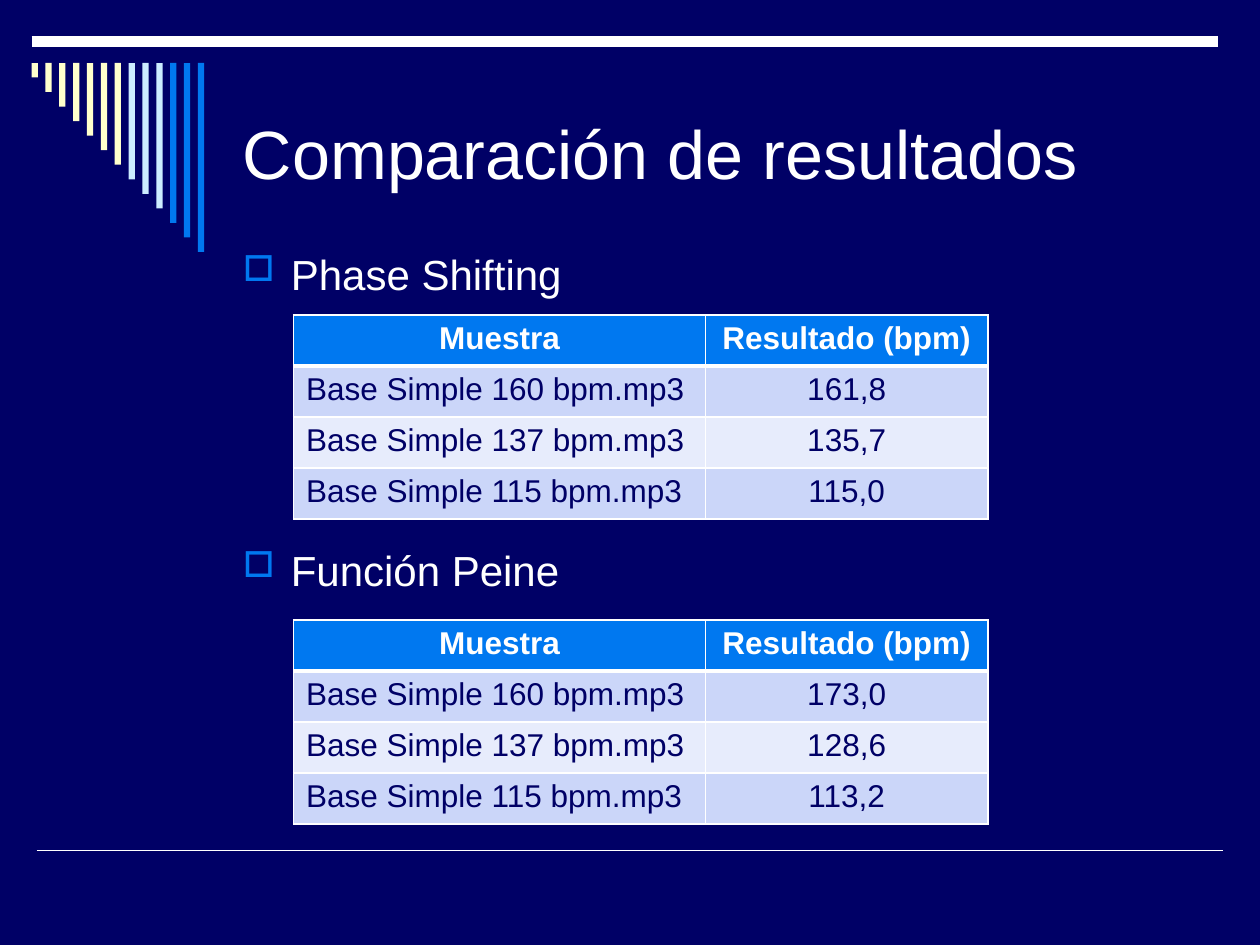
from dataclasses import dataclass

from lxml.etree import SubElement
from pptx import Presentation
from pptx.dml.color import RGBColor
from pptx.enum.shapes import MSO_CONNECTOR as Link, MSO_SHAPE as Shape
from pptx.enum.text import MSO_ANCHOR as Anchor, PP_ALIGN as Align
from pptx.oxml.ns import qn
from pptx.util import Inches, Pt

NAVY = RGBColor(0x00, 0x00, 0x66)
WHITE = RGBColor(0xFF, 0xFF, 0xFF)
BLUE = RGBColor(0x00, 0x78, 0xF0)
CREAM = RGBColor(0xFF, 0xFF, 0xCC)
SKY = RGBColor(0xCC, 0xEC, 0xFF)
BAND = RGBColor(0xCB, 0xD6, 0xF9)
PALE = RGBColor(0xE7, 0xEC, 0xFC)

FONT = "Arial"
HEADS = ("Muestra", "Resultado (bpm)")
TEMPOS = (160, 137, 115)
WIDTHS = (3.27, 2.24)
ROW = 0.405


@dataclass
class Rule:
    left: float
    right: float
    y: float
    weight: float


@dataclass
class Method:
    name: str
    top: float
    gap: float
    values: tuple[str, ...]


RULES = (Rule(0.29, 9.71, 6.75, 1), Rule(0.25, 9.67, 0.33, 6))
BARS = [CREAM] * 7 + [SKY] * 3 + [BLUE] * 3
METHODS = (
    Method("Phase Shifting", 2.5, 4.8, ("161,8", "135,7", "115,0")),
    Method("Función Peine", 4.92, 140.4, ("173,0", "128,6", "113,2")),
)


def style(para, size: float, color: RGBColor, bold: bool = False) -> None:
    for run in para.runs:
        font = run.font
        font.name, font.size, font.bold = FONT, Pt(size), bold
        font.color.rgb = color


def draw_rule(slide, rule: Rule) -> None:
    line = slide.shapes.add_connector(
        Link.STRAIGHT, Inches(rule.left), Inches(rule.y),
        Inches(rule.right), Inches(rule.y))
    line.line.color.rgb = WHITE
    line.line.width = Pt(rule.weight)
    SubElement(line._element.spPr, qn("a:effectLst"))


def draw_bars(slide) -> None:
    """Draw the hanging bars, each longer than the one before."""
    for i, color in enumerate(BARS):
        bar = slide.shapes.add_shape(
            Shape.RECTANGLE, Inches(0.25 + 0.11 * i), Inches(0.5),
            Inches(0.05), Inches(1.5 * (i + 1) / len(BARS)))
        bar.shadow.inherit = False
        bar.fill.solid()
        bar.fill.fore_color.rgb = color
        bar.line.fill.background()


def add_text(slide, left: float, top: float, width: float, height: float):
    box = slide.shapes.add_textbox(
        Inches(left), Inches(top), Inches(width), Inches(height))
    box.text_frame.word_wrap = True
    return box.text_frame


def add_bullet(para) -> None:
    props = para._p.get_or_add_pPr()
    props.set("marL", str(Inches(0.38)))
    props.set("indent", str(-Inches(0.38)))
    tint = SubElement(props, qn("a:buClr"))
    SubElement(tint, qn("a:srgbClr"), val=str(BLUE))
    SubElement(props, qn("a:buSzPct"), val="85000")
    SubElement(props, qn("a:buChar"), char="□")


def draw_list(slide) -> None:
    frame = add_text(slide, 1.83, 1.92, 3.75, 4.5)
    frame.text = "\n".join(method.name for method in METHODS)
    for para, method in zip(frame.paragraphs, METHODS):
        para.space_before = Pt(method.gap)
        add_bullet(para)
        style(para, 24, WHITE)


def set_edges(cell, row: int) -> None:
    """Draw white cell borders, thick between the header and the body."""
    props = cell._tc.get_or_add_tcPr()
    thick = {"B": row == 0, "T": row == 1}
    for side in "LRTB":
        width = Pt(3 if thick.get(side) else 1)
        edge = SubElement(props, qn(f"a:ln{side}"), w=str(width))
        fill = SubElement(edge, qn("a:solidFill"))
        SubElement(fill, qn("a:srgbClr"), val=str(WHITE))


def draw_table(slide, method: Method) -> None:
    names = [f"Base Simple {tempo} bpm.mp3" for tempo in TEMPOS]
    rows = [HEADS, *zip(names, method.values)]
    table = slide.shapes.add_table(
        len(rows), len(HEADS), Inches(2.33), Inches(method.top),
        Inches(sum(WIDTHS)), Inches(ROW * len(rows))).table
    for col, width in zip(table.columns, WIDTHS):
        col.width = Inches(width)
    for r, texts in enumerate(rows):
        table.rows[r].height = Inches(ROW)
        head = r == 0
        shade = BLUE if head else BAND if r % 2 else PALE
        for c, text in enumerate(texts):
            cell = table.cell(r, c)
            set_edges(cell, r)
            cell.fill.solid()
            cell.fill.fore_color.rgb = shade
            para = cell.text_frame.paragraphs[0]
            para.text = text
            para.alignment = Align.CENTER if head or c else Align.LEFT
            style(para, 18, WHITE if head else NAVY, head)


def main() -> None:
    deck = Presentation()
    deck.slide_width, deck.slide_height = Inches(10), Inches(7.5)
    slide = deck.slides.add_slide(deck.slide_layouts[6])
    slide.background.fill.solid()
    slide.background.fill.fore_color.rgb = NAVY
    for rule in RULES:
        draw_rule(slide, rule)
    draw_bars(slide)
    title = add_text(slide, 1.83, 0.5, 7.67, 1.42)
    title.text = "Comparación de resultados"
    title.vertical_anchor = Anchor.MIDDLE
    style(title.paragraphs[0], 39, WHITE)
    draw_list(slide)
    for method in METHODS:
        draw_table(slide, method)
    deck.save("out.pptx")


if __name__ == "__main__":
    main()
